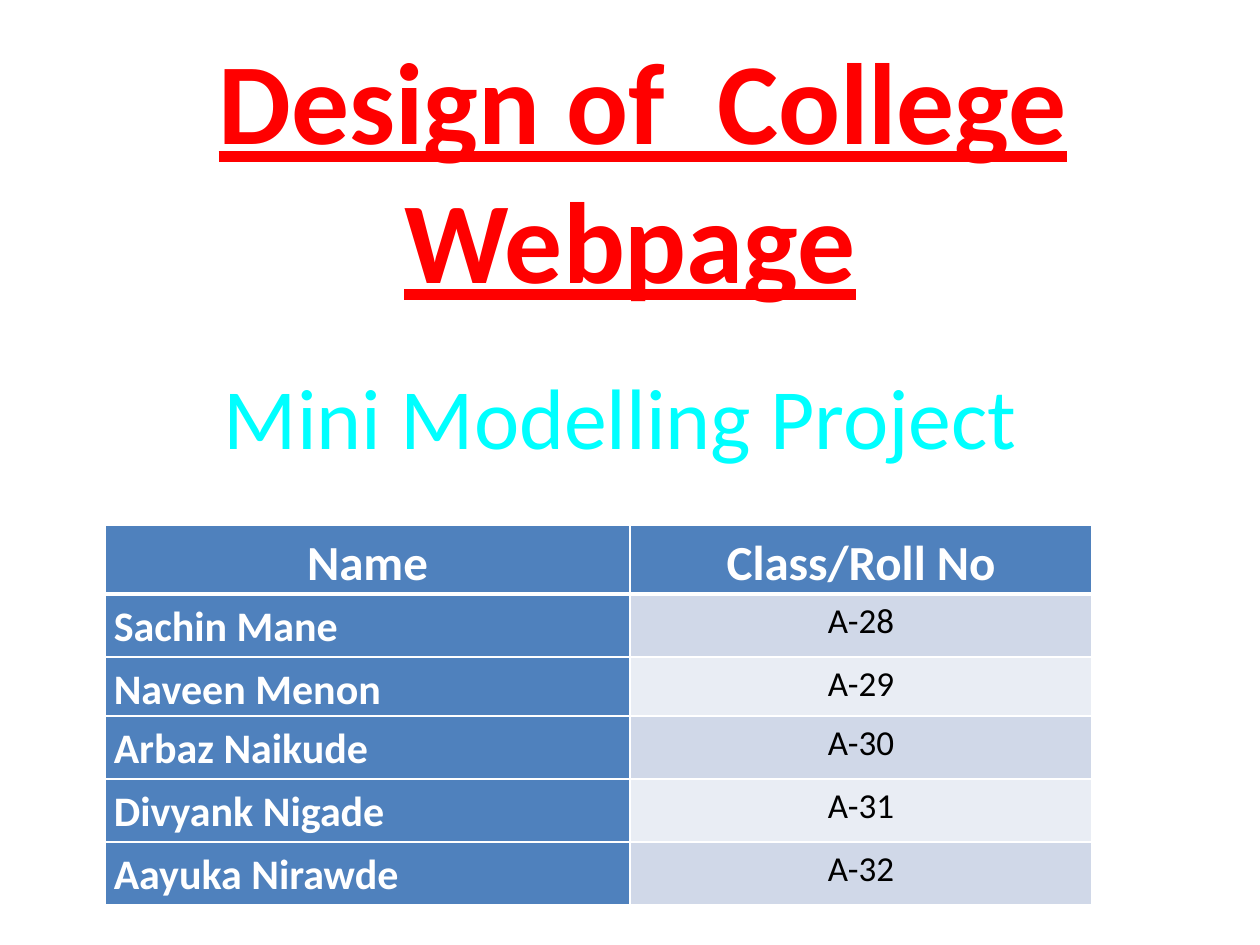
from dataclasses import dataclass

from lxml.etree import SubElement
from pptx import Presentation
from pptx.dml.color import RGBColor as RGB
from pptx.enum.text import MSO_ANCHOR as Anchor, MSO_AUTO_SIZE as AutoSize, PP_ALIGN as Align
from pptx.oxml.ns import qn
from pptx.util import Inches, Pt


@dataclass(frozen=True)
class Theme:
    font: str = "Calibri"
    white: str = "FFFFFF"
    black: str = "000000"
    title: str = "FF0000"
    subtitle: str = "00FFFF"
    accent: str = "4F81BD"
    bands: tuple = ("D0D8E8", "E9EDF4")
    title_size: int = 66
    subtitle_size: int = 49
    header_size: int = 28
    name_size: int = 24
    roll_size: int = 20


def grid(n):
    """Length of n grid units, twelve to the inch."""
    return Inches(n / 12)


def add_text(p, text, *, size, color, font, bold=False, underline=False):
    r = p.add_run()
    r.text = text
    r.font.size, r.font.name = Pt(size), font
    r.font.bold, r.font.underline = bold, underline
    r.font.color.rgb = RGB.from_string(color)


def set_borders(cell, color, **widths):
    """Draw cell sides; the keywords L, R, T, B give widths in points."""
    tc_pr = cell._tc.get_or_add_tcPr()
    for i, (side, width) in enumerate(widths.items()):
        ln = tc_pr.makeelement(qn(f"a:ln{side}"), {"w": str(Pt(width))})
        fill = SubElement(ln, qn("a:solidFill"))
        SubElement(fill, qn("a:srgbClr"), val=color)
        tc_pr.insert(i, ln)


class SlideBuilder:
    def __init__(self, slide, theme):
        self.slide, self.theme = slide, theme

    def placeholder(self, idx, box, runs, anchor, space_before=0):
        """Move a placeholder and fill it with (text, format) runs."""
        sp = self.slide.placeholders[idx]
        sp.left, sp.top, sp.width, sp.height = map(grid, box)
        tf = sp.text_frame
        tf.word_wrap, tf.auto_size, tf.vertical_anchor = True, AutoSize.NONE, anchor
        p = tf.paragraphs[0]
        p.alignment, p.space_before = Align.CENTER, Pt(space_before)
        for text, style in runs:
            add_text(p, text, font=self.theme.font, **style)

    def cell(self, cell, text, fill, align, bottom=1, **style):
        cell.fill.solid()
        cell.fill.fore_color.rgb = RGB.from_string(fill)
        cell.margin_left = cell.margin_right = Inches(0.07)
        cell.margin_top = cell.margin_bottom = 0
        p = cell.text_frame.paragraphs[0]
        p.alignment, p.line_spacing = align, 1.15
        add_text(p, text, font=self.theme.font, **style)
        set_borders(cell, self.theme.white, L=1, R=1, T=1, B=bottom)

    def table(self, left, top, widths, heights, header, rows):
        t = self.theme
        table = self.slide.shapes.add_table(
            len(heights), len(widths), grid(left), grid(top),
            grid(sum(widths)), grid(sum(heights))).table
        for column, width in zip(table.columns, widths):
            column.width = grid(width)
        for row, height in zip(table.rows, heights):
            row.height = grid(height)
        for col, text in enumerate(header):
            self.cell(table.cell(0, col), text, t.accent, Align.CENTER, bottom=3,
                      size=t.header_size, color=t.white, bold=True)
        for i, (name, roll) in enumerate(rows):
            self.cell(table.cell(i + 1, 0), name, t.accent, Align.LEFT,
                      size=t.name_size, color=t.white, bold=True)
            self.cell(table.cell(i + 1, 1), roll, t.bands[i % 2], Align.CENTER,
                      size=t.roll_size, color=t.black)


def main():
    prs = Presentation()
    prs.slide_width, prs.slide_height = Inches(10), Inches(7.5)
    theme = Theme()
    s = SlideBuilder(prs.slides.add_slide(prs.slide_layouts[0]), theme)

    s.placeholder(0, (9, 3, 102, 26), [
        (" ", dict(size=theme.title_size, color=theme.black)),
        ("Design of  College Webpage",
         dict(size=theme.title_size, color=theme.title, bold=True, underline=True)),
    ], Anchor.MIDDLE)
    s.placeholder(1, (18, 34, 84, 15), [
        ("Mini Modelling Project ", dict(size=theme.subtitle_size, color=theme.subtitle)),
    ], Anchor.TOP, space_before=0.2 * theme.subtitle_size)

    names = ["Sachin Mane", "Naveen Menon", "Arbaz Naikude", "Divyank Nigade", "Aayuka Nirawde"]
    s.table(10, 50, widths=(50, 44), heights=(6, 6, 5.5, 6, 6, 6),
            header=("Name", "Class/Roll No"),
            rows=[(name, f"A-{roll}") for roll, name in enumerate(names, start=28)])
    prs.save("out.pptx")


if __name__ == "__main__":
    main()
